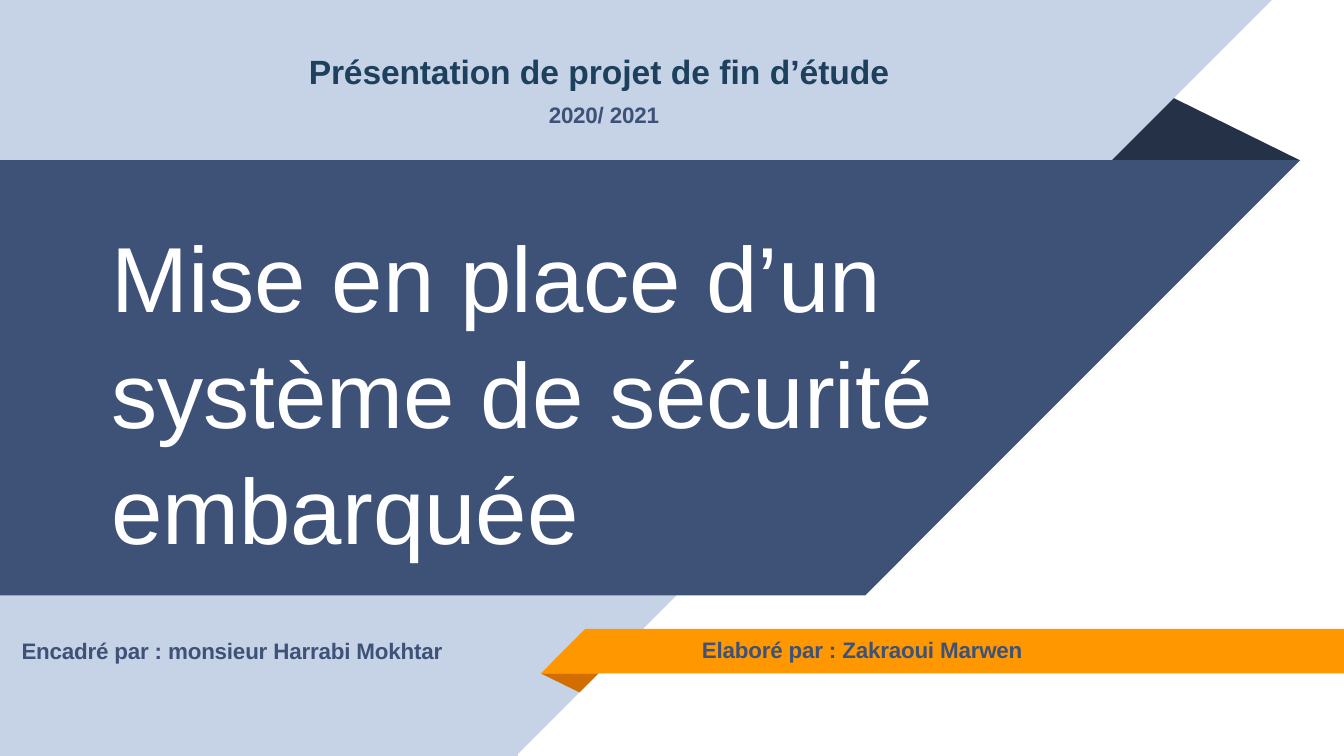
from pptx import Presentation
from pptx.dml.color import RGBColor
from pptx.enum.text import MSO_AUTO_SIZE as AutoSize
from pptx.util import Pt

WHITE = RGBColor(0xFF, 0xFF, 0xFF)
NAVY = RGBColor(0x25, 0x31, 0x47)
BLUE = RGBColor(0x3E, 0x52, 0x78)
PALE = RGBColor(0xC6, 0xD2, 0xE6)
TEAL = RGBColor(0x1D, 0x40, 0x5D)
ORANGE = RGBColor(0xFF, 0x97, 0x00)
RUST = RGBColor(0xD2, 0x6E, 0x00)


class Cover:
    """Style and current slide; all lengths in points."""
    font = "Arial"
    label = {"size": Pt(16), "bold": True}

    def __init__(self, slide):
        self.s = slide

    def polygon(self, color, *points):
        first, *rest = [(Pt(x), Pt(y)) for x, y in points]
        builder = self.s.shapes.build_freeform(*first, scale=1.0)
        builder.add_line_segments(rest, close=True)
        sp = builder.convert_to_shape()
        sp.shadow.inherit = False
        sp.fill.solid()
        sp.fill.fore_color.rgb = color
        sp.line.fill.background()

    def text(self, box, runs, color, fmt=None, top=1, before=1, spacing=1.0):
        """Each run is a pair: wording and letter spacing in points."""
        sp = self.s.shapes.add_textbox(*map(Pt, box))
        tf = sp.text_frame
        frame = {"word_wrap": True, "auto_size": AutoSize.SHAPE_TO_FIT_TEXT,
                 "margin_left": Pt(1), "margin_right": 0,
                 "margin_top": Pt(top), "margin_bottom": 0}
        for name, value in frame.items():
            setattr(tf, name, value)
        p = tf.paragraphs[0]
        p.space_before = Pt(before)
        p.line_spacing = spacing
        for wording, tracking in runs:
            r = p.add_run()
            r.text = wording
            for name, value in {"name": self.font, **(fmt or self.label)}.items():
                setattr(r.font, name, value)
            r.font.color.rgb = color
            if tracking:
                r.font._element.set("spc", str(round(tracking * 100)))


def main():
    prs = Presentation()
    prs.slide_width, prs.slide_height = Pt(960), Pt(540)
    cover = Cover(prs.slides.add_slide(prs.slide_layouts[6]))

    # Slanted bands and their folds, back to front
    cover.polygon(NAVY, (836.6, 69.2), (792, 114.5), (928.5, 114.5))
    cover.polygon(PALE, (0, 0), (908.6, 0), (370, 538.6), (370, 540), (0, 540))
    cover.polygon(BLUE, (0, 114.5), (928.6, 114.5), (618, 425.3), (0, 425.3))
    cover.polygon(RUST, (427.5, 481), (386.2, 481), (414, 494.6))
    cover.polygon(ORANGE, (960, 449.2), (418, 449.2), (386.4, 481), (960, 481))

    # Title
    cover.text((78.5, 152, 610, 241),
               [("Mise en place d’un système de sécurité embarquée", 0)],
               WHITE, {"size": Pt(66)}, spacing=1.05)

    # Heading and year
    cover.text((219.6, 35.3, 494, 30),
               [("Présentation ", -0.1), ("de projet de fin d’étude", 0)],
               TEAL, {"size": Pt(24), "bold": True})
    cover.text((391, 71.3, 86.5, 20), [("2020/ 2021", -0.1)], BLUE)

    # Author and supervisor
    cover.text((500.4, 453.6, 371, 20),
               [("Elaboré par : Zakraoui Marwen", -0.1)], BLUE)
    cover.text((14.4, 447.8, 343, 27),
               [("Encadré par : monsieur Harrabi Mokhtar", -0.1)], BLUE,
               top=7, before=7)

    prs.save("out.pptx")


if __name__ == "__main__":
    main()
